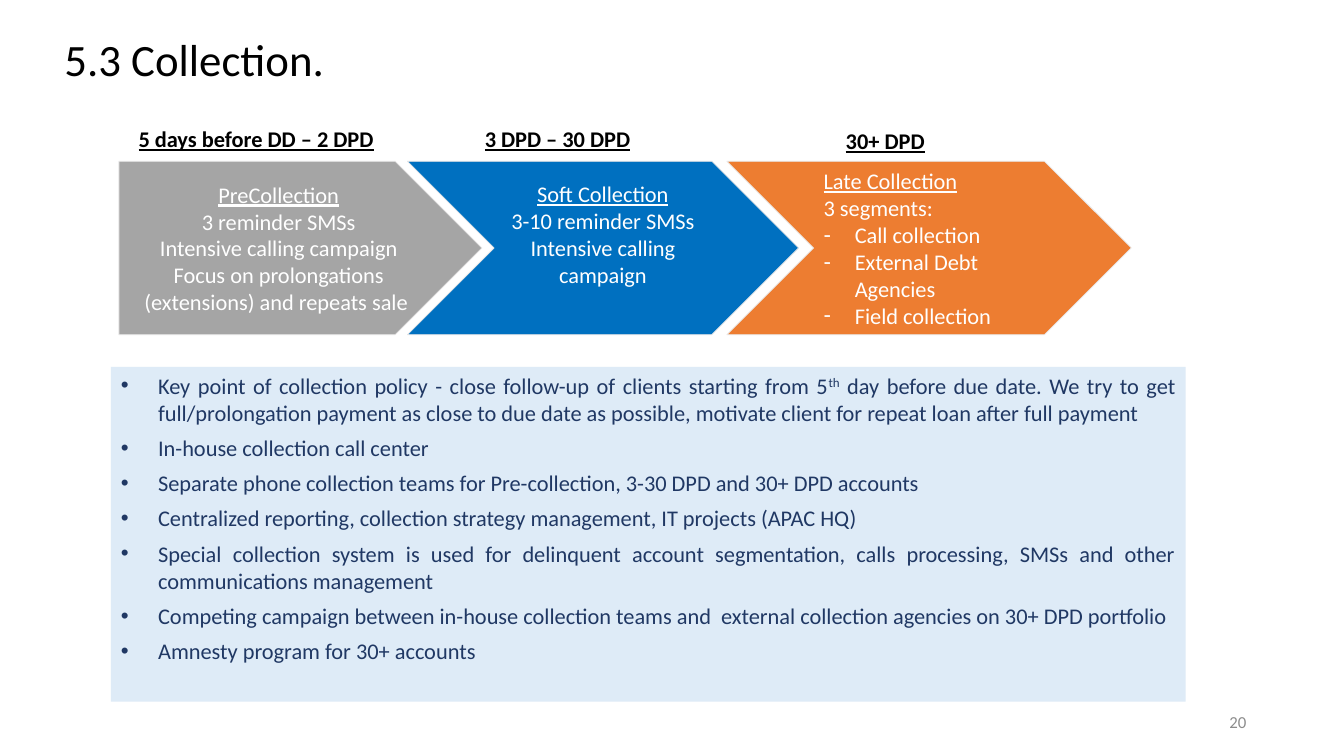
"""Build the collection stages slide."""
from pptx import Presentation
from pptx.dml.color import RGBColor
from pptx.enum.shapes import MSO_SHAPE
from pptx.enum.text import MSO_ANCHOR, PP_ALIGN
from pptx.oxml.ns import qn
from pptx.util import Inches, Pt
from lxml.etree import SubElement

BLACK = RGBColor(0x00, 0x00, 0x00)
WHITE = RGBColor(0xFF, 0xFF, 0xFF)
GRAY = RGBColor(0xA5, 0xA5, 0xA5)
BLUE = RGBColor(0x00, 0x70, 0xC0)
ORANGE = RGBColor(0xED, 0x7D, 0x31)
EDGE = RGBColor(0xE7, 0xE6, 0xE6)
PALE = RGBColor(0xDE, 0xEB, 0xF7)
NAVY = RGBColor(0x20, 0x38, 0x64)
DIM = RGBColor(0x8C, 0x8C, 0x8C)

LEFT, MID, RIGHT, JUST = PP_ALIGN.LEFT, PP_ALIGN.CENTER, PP_ALIGN.RIGHT, PP_ALIGN.JUSTIFY
TOP, CENTER = MSO_ANCHOR.TOP, MSO_ANCHOR.MIDDLE

LABELS = [
    ("5 days before DD – 2 DPD", (1.18, 1.19, 2.72, 0.37)),
    ("3 DPD – 30 DPD", (4.53, 1.19, 2, 0.37)),
    ("30+ DPD", (7.78, 1.21, 2, 0.37)),
]
STAGES = [
    {"kind": MSO_SHAPE.PENTAGON, "left": 1.18, "width": 3.6, "fill": GRAY,
     "align": MID, "foot": 0.05, "head": "PreCollection",
     "lines": ["3 reminder SMSs", "Intensive calling campaign",
               "Focus on prolongations (extensions) and repeats sale "],
     "items": []},
    {"kind": MSO_SHAPE.CHEVRON, "left": 4.04, "width": 3.88, "fill": BLUE,
     "align": MID, "foot": 0.32, "head": "Soft Collection",
     "lines": ["3-10 reminder SMSs", "Intensive calling campaign"],
     "items": []},
    {"kind": MSO_SHAPE.CHEVRON, "left": 7.21, "width": 4.01, "fill": ORANGE,
     "align": LEFT, "foot": 0.05, "head": "Late Collection",
     "lines": ["3 segments:"],
     "items": ["Call collection", "External Debt Agencies", "Field collection"]},
]
POINTS = [
    ["Key point of collection policy - close follow-up of clients starting from 5", "th",
     " day before due date. We try to get full/prolongation payment as close to due date"
     " as possible, motivate client for repeat loan after full payment "],
    ["In-house collection call center"],
    ["Separate phone collection teams for Pre-collection, 3-30 DPD and 30+ DPD accounts"],
    ["Centralized reporting, collection strategy management, IT projects (APAC HQ) "],
    ["Special collection system is used for delinquent account segmentation, calls"
     " processing, SMSs and other communications management "],
    ["Competing campaign between in-house collection teams and  external collection"
     " agencies on 30+ DPD portfolio "],
    ["Amnesty program for 30+ accounts"],
]


def style(item, values):
    """Set each attribute in values."""
    for name, value in values.items():
        setattr(item, name, value)


def write(frame, row, texts, color, size=16, look=None, **form):
    """Fill one paragraph with runs and return it."""
    para = frame.paragraphs[0] if row == 0 else frame.add_paragraph()
    style(para, form)
    for text in texts:
        run = para.add_run()
        run.text = text
        style(run.font, {"name": "Calibri", "size": Pt(size), **(look or {})})
        run.font.color.rgb = color
        if text == "th":
            run.font._element.set("baseline", "30000")
    return para


def bullet(para, mark, indent):
    """Give a paragraph a hanging bullet."""
    props = para._p.get_or_add_pPr()
    props.set("marL", str(Inches(indent)))
    props.set("indent", str(-Inches(indent)))
    SubElement(props, qn("a:buFont")).set("typeface", "Arial")
    SubElement(props, qn("a:buChar")).set("char", mark)


def label(slide, text, box, color, size, anchor, look=None, **form):
    """Add a text box with one paragraph."""
    frame = slide.shapes.add_textbox(*map(Inches, box)).text_frame
    style(frame, {"word_wrap": True, "vertical_anchor": anchor})
    write(frame, 0, [text], color, size, look, **form)


def block(slide, kind, box, fill, anchor, foot=0.05):
    """Add a filled shape and return it."""
    shape = slide.shapes.add_shape(kind, *map(Inches, box))
    shape.shadow.inherit = False
    shape.fill.solid()
    shape.fill.fore_color.rgb = fill
    shape.line.fill.background()
    style(shape.text_frame, {"word_wrap": True, "vertical_anchor": anchor,
                             "margin_bottom": Inches(foot)})
    return shape


def stage(slide, data):
    """Add one arrow of the process."""
    box = (data["left"], 1.6, data["width"], 1.72)
    shape = block(slide, data["kind"], box, data["fill"], CENTER, data["foot"])
    shape.line.color.rgb = EDGE
    shape.line.width = Pt(0.5)
    texts = [data["head"], *data["lines"], *data["items"]]
    first = len(texts) - len(data["items"])
    for row, text in enumerate(texts):
        para = write(shape.text_frame, row, [text], WHITE,
                     look={"underline": row == 0}, alignment=data["align"])
        if row >= first:
            bullet(para, "-", 0.31)


def main():
    """Build and save the slide."""
    deck = Presentation()
    style(deck, {"slide_width": Inches(13.33), "slide_height": Inches(7.5)})
    slide = deck.slides.add_slide(deck.slide_layouts[6])
    label(slide, "20", (9.46, 6.96, 3, 0.4), DIM, 12, CENTER, alignment=RIGHT)
    label(slide, "5.3 Collection.", (0.54, 0.22, 9.75, 0.78), BLACK, 32, CENTER,
          line_spacing=0.9)
    panel = block(slide, MSO_SHAPE.RECTANGLE, (1.1, 3.64, 10.66, 3.32), PALE, TOP)
    for row, texts in enumerate(POINTS):
        para = write(panel.text_frame, row, texts, NAVY,
                     alignment=JUST, space_before=Pt(6))
        bullet(para, "•", 0.37)
    for data in STAGES:
        stage(slide, data)
    for text, box in LABELS:
        label(slide, text, box, BLACK, 16, TOP,
              {"bold": True, "underline": True}, alignment=MID)
    deck.save("out.pptx")


if __name__ == "__main__":
    main()
